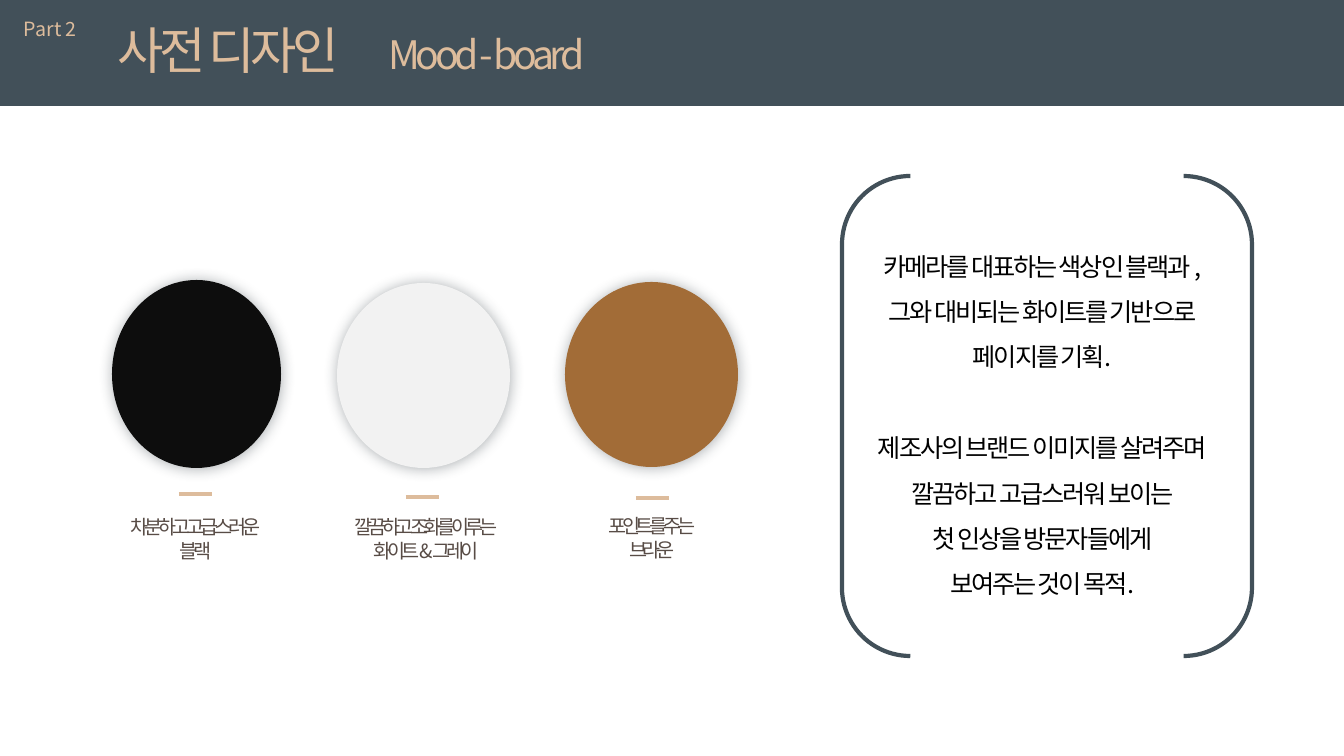
"""Build the mood-board slide with three colour swatches and a bracketed statement."""
from lxml import etree
from pptx import Presentation
from pptx.dml.color import RGBColor
from pptx.enum.shapes import MSO_CONNECTOR, MSO_SHAPE
from pptx.enum.text import MSO_ANCHOR, MSO_AUTO_SIZE, PP_ALIGN
from pptx.oxml.ns import qn
from pptx.util import Pt

RECT, OVAL, BRACKETS = MSO_SHAPE.RECTANGLE, MSO_SHAPE.OVAL, MSO_SHAPE.DOUBLE_BRACKET
STRAIGHT = MSO_CONNECTOR.STRAIGHT
LEFT, CENTER = PP_ALIGN.LEFT, PP_ALIGN.CENTER
TOP, GROW = MSO_ANCHOR.TOP, MSO_AUTO_SIZE.SHAPE_TO_FIT_TEXT

FONT = "Noto Sans CJK KR"
SLATE, SAND, TAUPE, BLACK, SHADE = "425059", "DDBC9C", "584C46", "000000", "323C43"
EMU_PER_PX = 914400 / 100.8
RULE_W = 33

PART = "Part 2"
TITLE = [("사전 디자인\t", 36), ("Mood - board", 28)]
TITLE_TAB = 271
SWATCHES = [
    ((337, 283, 173, 185), "F2F2F2", (406, 497), (308, 510, 236, 57),
     ["깔끔하고 조화를 이루는", "화이트 & 그레이"]),
    ((565, 282, 173, 185), "A26C37", (636, 498), (534, 509, 236, 57),
     ["포인트를 주는", "브라운"]),
    ((112, 280, 169, 188), "0D0D0D", (179, 494), (55, 510, 281, 57),
     ["차분하고 고급스러운", "블랙"]),
]
STATEMENT = [
    ["카메라를 대표하는 색상인 블랙과 ,", "그와 대비되는 화이트를 기반으로", "페이지를 기획."],
    ["제조사의 브랜드 이미지를 살려주며", "깔끔하고 고급스러워 보이는",
     "첫 인상을 방문자들에게", "보여주는 것이 목적."],
]
STANZA_GAP = 32.5


def px(n):
    """Convert pixels to EMU."""
    return round(n * EMU_PER_PX)


def rgb(color):
    """Turn a hex string into a colour."""
    return RGBColor.from_string(color)


def style(r, size, color, spacing=0):
    """Format one run, with letter spacing in points."""
    r.font.size = Pt(size)
    r.font.name = FONT
    r.font.color.rgb = rgb(color)
    rPr = r.font._element
    etree.SubElement(rPr, qn("a:ea"), typeface=FONT)
    if spacing:
        rPr.set("spc", str(round(spacing * 100)))


def add_box(s, box, lines, size, color, spacing=0, align=CENTER, wrap=True):
    """Add a text box and return its text frame."""
    tf = s.shapes.add_textbox(*map(px, box)).text_frame
    tf.word_wrap = wrap
    tf.auto_size = GROW
    tf.text = "\n".join(lines)
    for p in tf.paragraphs:
        p.alignment = align
        style(p.runs[0], size, color, spacing)
    return tf


def add_shape(s, kind, box, fill=None, line=None):
    """Add a preset shape with an optional fill and 3 pt line."""
    sp = s.shapes.add_shape(kind, *map(px, box))
    sp.shadow.inherit = False
    if fill:
        sp.fill.solid()
        sp.fill.fore_color.rgb = rgb(fill)
    else:
        sp.fill.background()
    if line:
        sp.line.color.rgb = rgb(line)
        sp.line.width = Pt(3)
    else:
        sp.line.fill.background()
    return sp


def add_soft_shadow(sp):
    """Give a shape a soft outer shadow."""
    effects = sp._element.spPr.find(qn("a:effectLst"))
    shadow = etree.SubElement(effects, qn("a:outerShdw"), blurRad=str(Pt(10)),
                              dist=str(Pt(1)), dir="2700000", algn="tl", rotWithShape="0")
    color = etree.SubElement(shadow, qn("a:srgbClr"), val=SHADE)
    etree.SubElement(color, qn("a:alpha"), val="40000")


def add_rule(s, x, y):
    """Add a short horizontal accent line."""
    line = s.shapes.add_connector(STRAIGHT, px(x), px(y), px(x + RULE_W), px(y))
    line.line.color.rgb = rgb(SAND)
    line.line.width = Pt(3)
    etree.SubElement(line._element.spPr, qn("a:effectLst"))


def set_title(s):
    """Place the title and bring it in front of the header band."""
    sp = s.shapes.title
    sp.left, sp.top, sp.width, sp.height = map(px, (107, 14, 522, 72))
    s.shapes._spTree.append(sp._element)
    tf = sp.text_frame
    tf.word_wrap = True
    tf.auto_size = GROW
    tf.vertical_anchor = TOP
    p = tf.paragraphs[0]
    p.alignment = LEFT
    tabs = etree.SubElement(p._p.get_or_add_pPr(), qn("a:tabLst"))
    etree.SubElement(tabs, qn("a:tab"), pos=str(px(TITLE_TAB)), algn="l")
    for text, size in TITLE:
        r = p.add_run()
        r.text = text
        style(r, size, SAND, -3)


def main():
    """Build and save the slide."""
    prs = Presentation()
    prs.slide_width, prs.slide_height = px(1344), px(756)
    s = prs.slides.add_slide(prs.slide_layouts[5])

    add_shape(s, RECT, (0, 0, 1344, 106), SLATE)
    set_title(s)
    add_box(s, (14, 12, 74, 34), [PART], 14, SAND, align=LEFT, wrap=False)

    for circle, color, rule, caption, lines in SWATCHES:
        add_soft_shadow(add_shape(s, OVAL, circle, color))
        add_box(s, caption, lines, 14, TAUPE, -3)
        add_rule(s, *rule)

    add_shape(s, BRACKETS, (842, 176, 410, 480), line=SLATE)
    tf = add_box(s, (849, 231, 387, 407), sum(STATEMENT, []), 18, BLACK, -1.5)
    for p in tf.paragraphs:
        p.line_spacing = 1.5
    tf.paragraphs[len(STATEMENT[0])].space_before = Pt(STANZA_GAP)

    prs.save("out.pptx")


if __name__ == "__main__":
    main()
